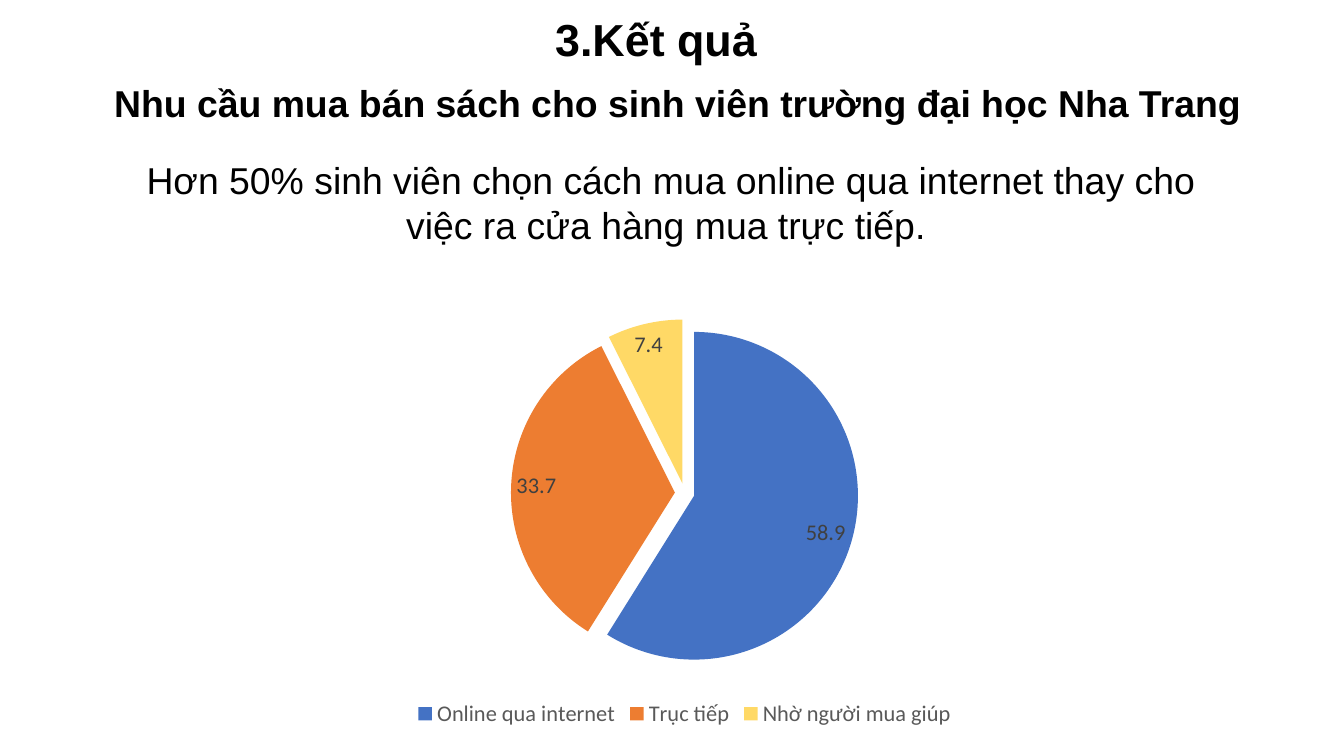
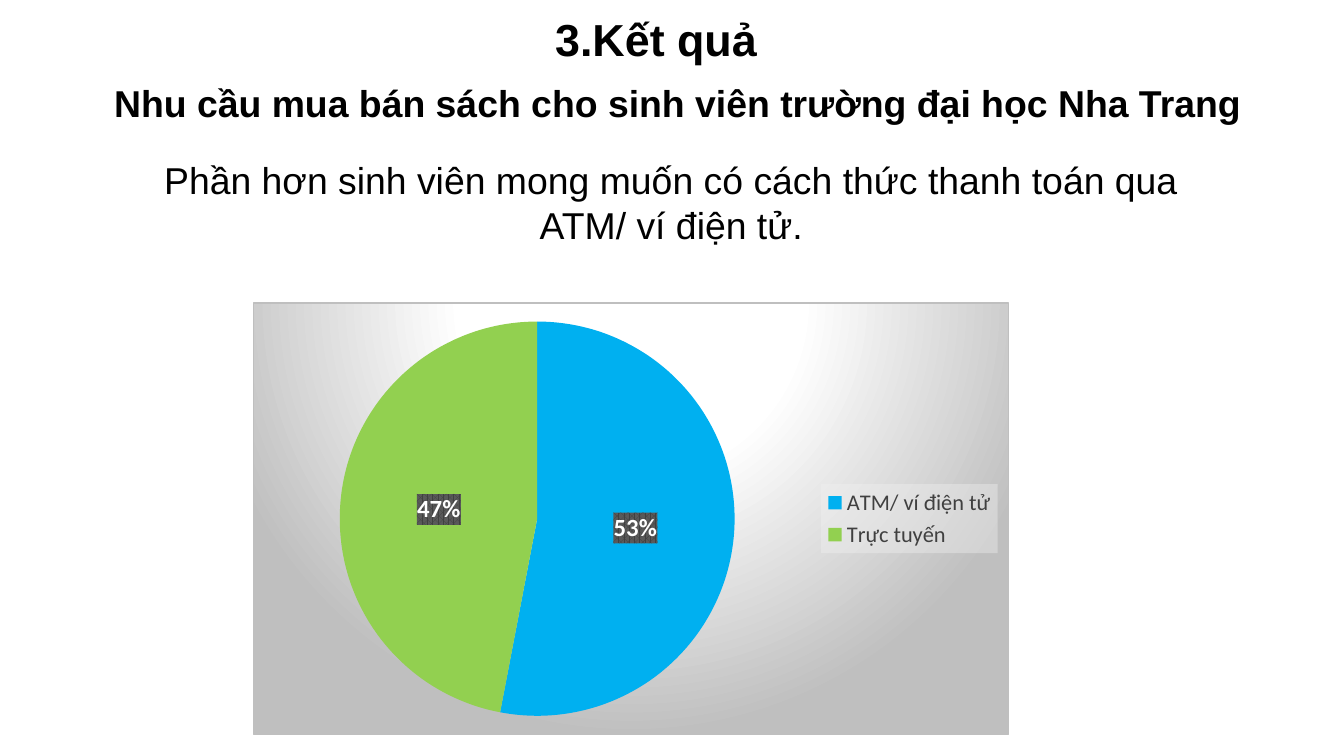
import pptx
import pptx.chart.data
import pptx.dml.color
import pptx.enum.chart
import pptx.enum.text
import pptx.oxml
import pptx.oxml.ns
import pptx.util

Pt = pptx.util.Pt
RGBColor = pptx.dml.color.RGBColor
Align = pptx.enum.text.PP_ALIGN
Anchor = pptx.enum.text.MSO_ANCHOR
LegendPosition = pptx.enum.chart.XL_LEGEND_POSITION
LabelPosition = pptx.enum.chart.XL_LABEL_POSITION
qn = pptx.oxml.ns.qn

BLACK = RGBColor(0x00, 0x00, 0x00)
WHITE = RGBColor(0xFF, 0xFF, 0xFF)
DARK_GRAY = RGBColor(0x40, 0x40, 0x40)
MID_GRAY = RGBColor(0x59, 0x59, 0x59)
SILVER = RGBColor(0xBF, 0xBF, 0xBF)
PALE_GRAY = RGBColor(0xF2, 0xF2, 0xF2)
BLUE = RGBColor(0x44, 0x72, 0xC4)
ORANGE = RGBColor(0xED, 0x7D, 0x31)
YELLOW = RGBColor(0xFF, 0xD9, 0x66)
SKY = RGBColor(0x00, 0xB0, 0xF0)
GREEN = RGBColor(0x92, 0xD0, 0x50)

TITLE = "3.Kết quả"
SUBTITLE = "Nhu cầu mua bán sách cho sinh viên trường đại học Nha Trang"

CHART_BACKGROUND = (
    '<a:gradFill><a:gsLst>'
    f'<a:gs pos="0"><a:srgbClr val="{WHITE}"/></a:gs>'
    f'<a:gs pos="39000"><a:srgbClr val="{WHITE}"/></a:gs>'
    f'<a:gs pos="100000"><a:srgbClr val="{SILVER}"/></a:gs>'
    '</a:gsLst><a:path path="circle">'
    '<a:fillToRect l="50000" t="-80000" r="50000" b="180000"/>'
    '</a:path></a:gradFill>'
    f'<a:ln w="{Pt(0.75)}"><a:solidFill><a:srgbClr val="{SILVER}"/></a:solidFill></a:ln>'
)
LEGEND_BACKGROUND = (
    f'<a:solidFill><a:srgbClr val="{PALE_GRAY}"><a:alpha val="39000"/></a:srgbClr></a:solidFill>'
)
LABEL_BACKGROUND = (
    '<a:pattFill prst="pct75">'
    f'<a:fgClr><a:srgbClr val="{DARK_GRAY}"/></a:fgClr>'
    f'<a:bgClr><a:srgbClr val="{MID_GRAY}"/></a:bgClr></a:pattFill>'
)


def set_font(font, name, size, color, bold=False):
    font.name = name
    font.size = Pt(size)
    font.color.rgb = color
    font.bold = bold


def set_background(element, content):
    namespaces = pptx.oxml.ns.nsdecls("c", "a")
    properties = pptx.oxml.parse_xml(f"<c:spPr {namespaces}>{content}</c:spPr>")
    element.find(qn("c:txPr")).addprevious(properties)


class ResultDeck:
    text_font = "Arial"
    chart_font = "Calibri"

    def __init__(self):
        self.presentation = pptx.Presentation()
        self.presentation.slide_width = Pt(720)
        self.presentation.slide_height = Pt(405)
        self.slide = None

    def add_slide(self, finding):
        self.slide = self.presentation.slides.add_slide(self.presentation.slide_layouts[6])
        self.add_text(TITLE, (231.1, -7.9, 181.4, 57.6), 24, Align.RIGHT, bold=True,
                      anchor=Anchor.MIDDLE)
        body = self.add_text(finding, (56.9, 80.6, 605.5, 55.4), 20, Align.CENTER, inset=3.6)
        body.auto_size = pptx.enum.text.MSO_AUTO_SIZE.SHAPE_TO_FIT_TEXT
        self.add_text(SUBTITLE, (54, 36, 625, 42.5), 20, Align.LEFT, bold=True)

    def add_text(self, text, box, size, alignment, bold=False, anchor=Anchor.TOP, inset=7.2):
        frame = self.slide.shapes.add_textbox(*map(Pt, box)).text_frame
        frame.word_wrap = True
        frame.vertical_anchor = anchor
        frame.margin_left = frame.margin_right = Pt(7.2)
        frame.margin_top = frame.margin_bottom = Pt(inset)
        paragraph = frame.paragraphs[0]
        paragraph.text = text
        paragraph.alignment = alignment
        set_font(paragraph.font, self.text_font, size, BLACK, bold)
        return frame

    def add_pie(self, box, slices, legend_position, legend_color):
        data = pptx.chart.data.CategoryChartData()
        data.categories = [name for name, value, color in slices]
        data.add_series("Series 1", [value for name, value, color in slices])
        chart = self.slide.shapes.add_chart(
            pptx.enum.chart.XL_CHART_TYPE.PIE, *map(Pt, box), data).chart
        set_font(chart.font, self.chart_font, 10, BLACK)
        chart.has_title = False
        chart.has_legend = True
        chart.legend.position = legend_position
        chart.legend.include_in_layout = False
        set_font(chart.legend.font, self.chart_font, 12, legend_color)
        plot = chart.plots[0]
        plot.vary_by_categories = True
        for index, (name, value, color) in enumerate(slices):
            point_format = plot.series[0].points[index].format
            point_format.fill.solid()
            point_format.fill.fore_color.rgb = color
            point_format.line.fill.background()
        return chart

    def add_labels(self, chart, position, size, color, bold=False, percent=False):
        labels = chart.plots[0].series[0].data_labels
        labels.show_value = not percent
        labels.show_percentage = percent
        labels.number_format = "0%" if percent else "General"
        labels.number_format_is_linked = False
        labels.position = position
        set_font(labels.font, self.chart_font, size, color, bold)
        return labels

    def explode(self, chart, percent):
        namespaces = pptx.oxml.ns.nsdecls("c")
        explosion = pptx.oxml.parse_xml(f'<c:explosion {namespaces} val="{percent}"/>')
        chart.plots[0].series[0]._element.find(qn("c:dPt")).addprevious(explosion)


def main():
    deck = ResultDeck()

    deck.add_slide("Hơn 50% sinh viên chọn cách mua online qua internet thay cho "
                   "việc ra cửa hàng mua trực tiếp. ")
    buying = deck.add_pie(
        (126.7, 144, 480.2, 248.4),
        [("Online qua internet", 58.9, BLUE),
         ("Trục tiếp", 33.7, ORANGE),
         ("Nhờ người mua giúp", 7.4, YELLOW)],
        LegendPosition.BOTTOM, MID_GRAY)
    deck.explode(buying, 6)
    deck.add_labels(buying, LabelPosition.BEST_FIT, 12, DARK_GRAY)

    deck.add_slide("Phần hơn sinh viên mong muốn có cách thức thanh toán qua "
                   "ATM/ ví điện tử.")
    payment = deck.add_pie(
        (135.4, 162, 405.4, 231.8),
        [("ATM/ ví điện tử", 53, SKY), ("Trực tuyến", 47, GREEN)],
        LegendPosition.RIGHT, DARK_GRAY)
    labels = deck.add_labels(payment, LabelPosition.CENTER, 13.3, WHITE, bold=True, percent=True)
    set_background(payment.element, CHART_BACKGROUND)
    set_background(payment.legend._element, LEGEND_BACKGROUND)
    set_background(labels._element, LABEL_BACKGROUND)

    deck.presentation.save("out.pptx")


if __name__ == "__main__":
    main()
